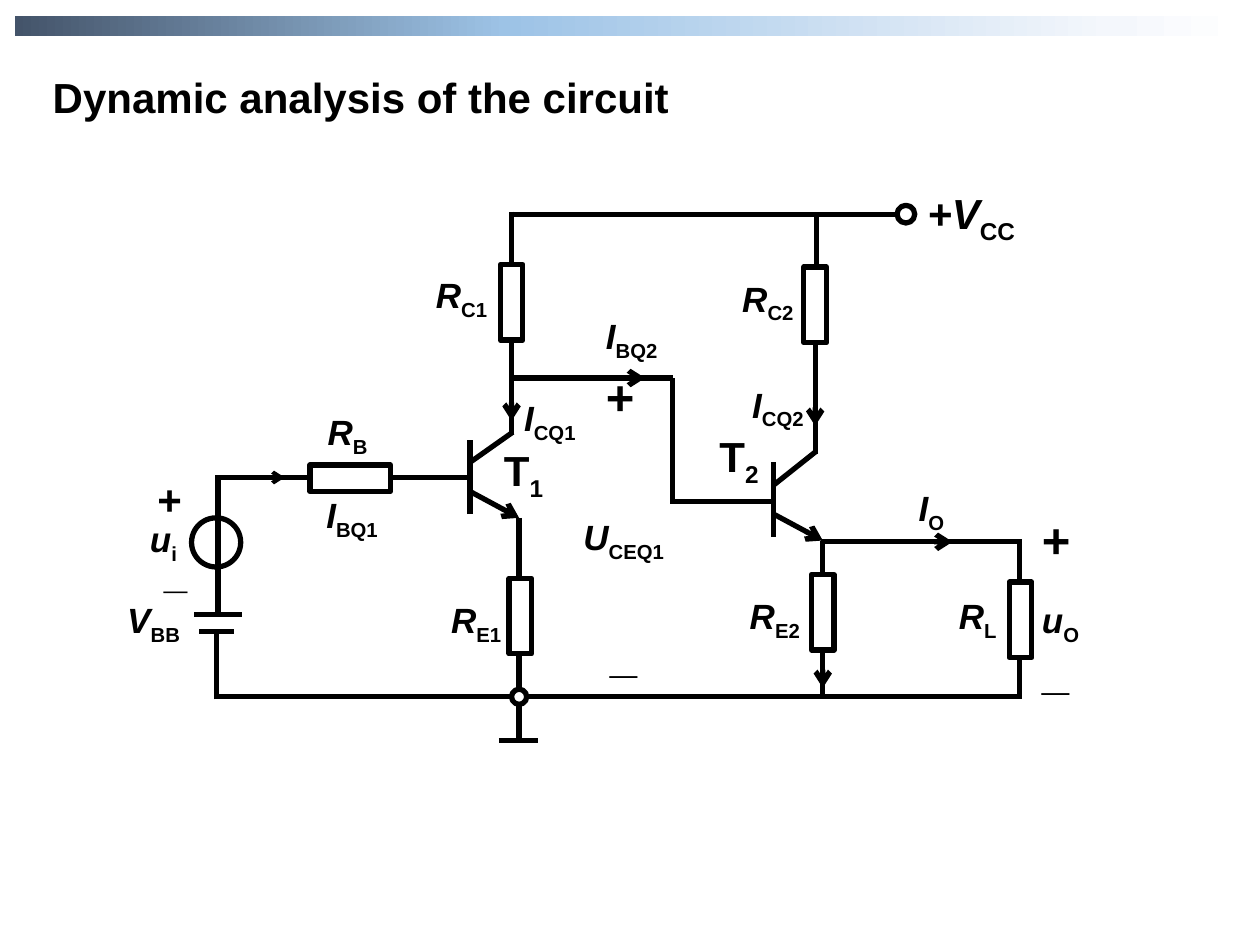
from copy import deepcopy

from lxml import etree
from pptx import Presentation
from pptx.dml.color import RGBColor
from pptx.enum.shapes import MSO_CONNECTOR, MSO_SHAPE
from pptx.enum.text import MSO_AUTO_SIZE
from pptx.oxml.ns import qn
from pptx.util import Inches, Pt

BLACK = RGBColor(0x00, 0x00, 0x00)
WHITE = RGBColor(0xFF, 0xFF, 0xFF)
BAND_STOPS = [
    (0, RGBColor(0x44, 0x54, 0x6A)),
    (0.4, RGBColor(0x9D, 0xC3, 0xE6)),
    (0.89, RGBColor(0xF4, 0xF7, 0xFC)),
    (1, WHITE),
]


def add_wire(shapes, start, end, width=3, arrow=False):
    ends = [Inches(value) for value in (*start, *end)]
    wire = shapes.add_connector(MSO_CONNECTOR.STRAIGHT, *ends)
    wire.line.color.rgb = BLACK
    wire.line.width = Pt(width)
    if arrow:
        line_xml = wire.line._get_or_add_ln()
        etree.SubElement(line_xml, qn("a:tailEnd"), type="arrow")
    etree.SubElement(wire._element.spPr, qn("a:effectLst"))


def add_label(shapes, place, size, symbol, subscript="", italic=False):
    box = shapes.add_textbox(*[Inches(value) for value in place])
    frame = box.text_frame
    frame.word_wrap = True
    frame.auto_size = MSO_AUTO_SIZE.SHAPE_TO_FIT_TEXT
    para = frame.paragraphs[0]
    para.font.name = "Arial"
    para.font.size = Pt(size)
    para.font.bold = True
    para.font.color.rgb = BLACK
    span = para.add_run()
    span.text = symbol
    if italic:
        span.font.italic = True
    if subscript:
        span = para.add_run()
        span.text = subscript
        span._r.get_or_add_rPr().set("baseline", "-25000")
    return frame


deck = Presentation()
deck.slide_width = Inches(10)
deck.slide_height = Inches(7.5)
page = deck.slides.add_slide(deck.slide_layouts[6])
shapes = page.shapes

# Header band and title
band = shapes.add_shape(
    MSO_SHAPE.RECTANGLE, Inches(0.12), Inches(0.13), Inches(9.76), Inches(0.16)
)
band.shadow.inherit = False
band.line.fill.background()
band.fill.gradient()
band.fill.gradient_angle = 0
stop_list = band._element.spPr.find(qn("a:gradFill")).find(qn("a:gsLst"))
for _ in range(2):
    stop_list.append(deepcopy(stop_list[0]))
for stop, (position, color) in zip(band.fill.gradient_stops, BAND_STOPS):
    stop.position = position
    stop.color.rgb = color
add_label(shapes, (0.32, 0.52, 6.95, 0.5), 24, "Dynamic analysis of the circuit")

# Wires
wires = [
    # supply and ground rails
    ((4.05, 1.7), (7.13, 1.7)),
    ((8.09, 5.53), (1.7, 5.53)),
    ((4.12, 4.11), (4.12, 5.88)),
    ((3.96, 5.88), (4.27, 5.88)),
    # input source and battery
    ((2.45, 3.79), (1.71, 3.79)),
    ((1.73, 4.88), (1.73, 3.77)),
    ((1.54, 4.88), (1.92, 4.88)),
    ((1.58, 5.01), (1.86, 5.01)),
    ((1.72, 5.55), (1.72, 5.01)),
    # first stage
    ((3.73, 3.79), (3.11, 3.79)),
    ((3.73, 4.08), (3.73, 3.49)),
    ((3.73, 3.67), (4.07, 3.43)),
    ((4.06, 1.68), (4.06, 2.1)),
    ((4.06, 3.45), (4.06, 2.71)),
    # coupling between the stages
    ((4.07, 3), (5.34, 3)),
    ((5.34, 3.99), (5.34, 3)),
    ((6.12, 3.98), (5.32, 3.98)),
    # second stage
    ((6.14, 4.26), (6.14, 3.67)),
    ((6.14, 3.85), (6.48, 3.58)),
    ((6.47, 3.6), (6.47, 2.73)),
    ((6.48, 2.12), (6.48, 1.7)),
    ((6.53, 4.58), (6.53, 4.29)),
    ((6.53, 5.15), (6.53, 5.55)),
    # load
    ((6.52, 4.3), (8.11, 4.3)),
    ((8.09, 4.29), (8.09, 5.55)),
]
for start, end in wires:
    add_wire(shapes, start, end)

# Emitters and current directions
arrows = [
    ((3.73, 3.9), (4.12, 4.11), 3),
    ((6.14, 4.08), (6.53, 4.29), 3),
    ((1.81, 3.79), (2.26, 3.79), 2.25),
    ((4.67, 3), (5.12, 3), 3),
    ((4.06, 3.09), (4.06, 3.34), 3),
    ((6.47, 3.13), (6.47, 3.38), 3),
    ((7.11, 4.3), (7.56, 4.3), 3),
    ((6.53, 5.21), (6.53, 5.46), 3),
]
for start, end, width in arrows:
    add_wire(shapes, start, end, width, arrow=True)

# Resistors, terminals and signal source
RESISTOR, ROUND = MSO_SHAPE.RECTANGLE, MSO_SHAPE.OVAL
parts = [
    (RESISTOR, (3.97, 2.1, 0.18, 0.6), False),
    (RESISTOR, (6.38, 2.12, 0.18, 0.6), False),
    (RESISTOR, (4.04, 4.59, 0.18, 0.6), True),
    (RESISTOR, (6.44, 4.56, 0.18, 0.6), False),
    (RESISTOR, (8.01, 4.62, 0.18, 0.6), True),
    (RESISTOR, (2.46, 3.69, 0.64, 0.21), False),
    (ROUND, (4.06, 5.47, 0.12, 0.12), True),
    (ROUND, (7.12, 1.63, 0.14, 0.14), False),
    (ROUND, (1.52, 4.11, 0.39, 0.39), False),
]
for kind, place, filled in parts:
    part = shapes.add_shape(kind, *[Inches(value) for value in place])
    part.shadow.inherit = False
    part.line.color.rgb = BLACK
    part.line.width = Pt(3)
    if filled:
        part.fill.solid()
        part.fill.fore_color.rgb = WHITE
    else:
        part.fill.background()

# Quantities (italic), then transistor names and polarity signs (upright)
quantities = [
    ((3.46, 2.17, 0.64, 0.42), 20, "R", "C1"),
    ((5.89, 2.2, 0.51, 0.34), 20, "R", "C2"),
    ((2.6, 3.26, 0.39, 0.34), 20, "R", "B"),
    ((3.58, 4.75, 0.45, 0.42), 20, "R", "E1"),
    ((5.95, 4.72, 0.48, 0.42), 20, "R", "E2"),
    ((7.61, 4.72, 0.49, 0.42), 20, "R", "L"),
    ((1.19, 4.11, 0.29, 0.34), 20, "u", "i"),
    ((8.27, 4.75, 0.4, 0.34), 20, "u", "O"),
    ((1.01, 4.75, 0.53, 0.34), 20, "V", "BB"),
    ((7.36, 1.49, 0.82, 0.39), 24, "+V", "CC"),
    ((2.59, 3.92, 0.57, 0.33), 20, "I", "BQ1"),
    ((4.81, 2.5, 0.57, 0.33), 20, "I", "BQ2"),
    ((4.16, 3.15, 0.57, 0.33), 20, "I", "CQ1"),
    ((5.97, 3.04, 0.57, 0.33), 20, "I", "CQ2"),
    ((7.29, 3.86, 0.31, 0.33), 20, "I", "O"),
    ((4.63, 4.09, 0.85, 0.33), 20, "U", "CEQ1"),
]
signs = [
    ((4, 3.53, 0.33, 0.4), 24, "T", "1"),
    ((5.71, 3.42, 0.7, 0.49), 24, "T", "2"),
    ((1.25, 3.76, 0.2, 0.4), 24, "+", ""),
    ((1.3, 4.34, 0.14, 0.39), 24, "_", ""),
    ((4.81, 2.91, 0.23, 0.47), 28, "+", ""),
    ((4.84, 4.95, 0.17, 0.46), 28, "_", ""),
    ((8.27, 4.04, 0.23, 0.47), 28, "+", ""),
    ((8.27, 5.08, 0.17, 0.46), 28, "_", ""),
]
for labels, italic in ((quantities, True), (signs, False)):
    for label in labels:
        frame = add_label(shapes, *label, italic=italic)
        frame.margin_left = frame.margin_right = 0
        frame.margin_top = frame.margin_bottom = 0

deck.save("out.pptx")
